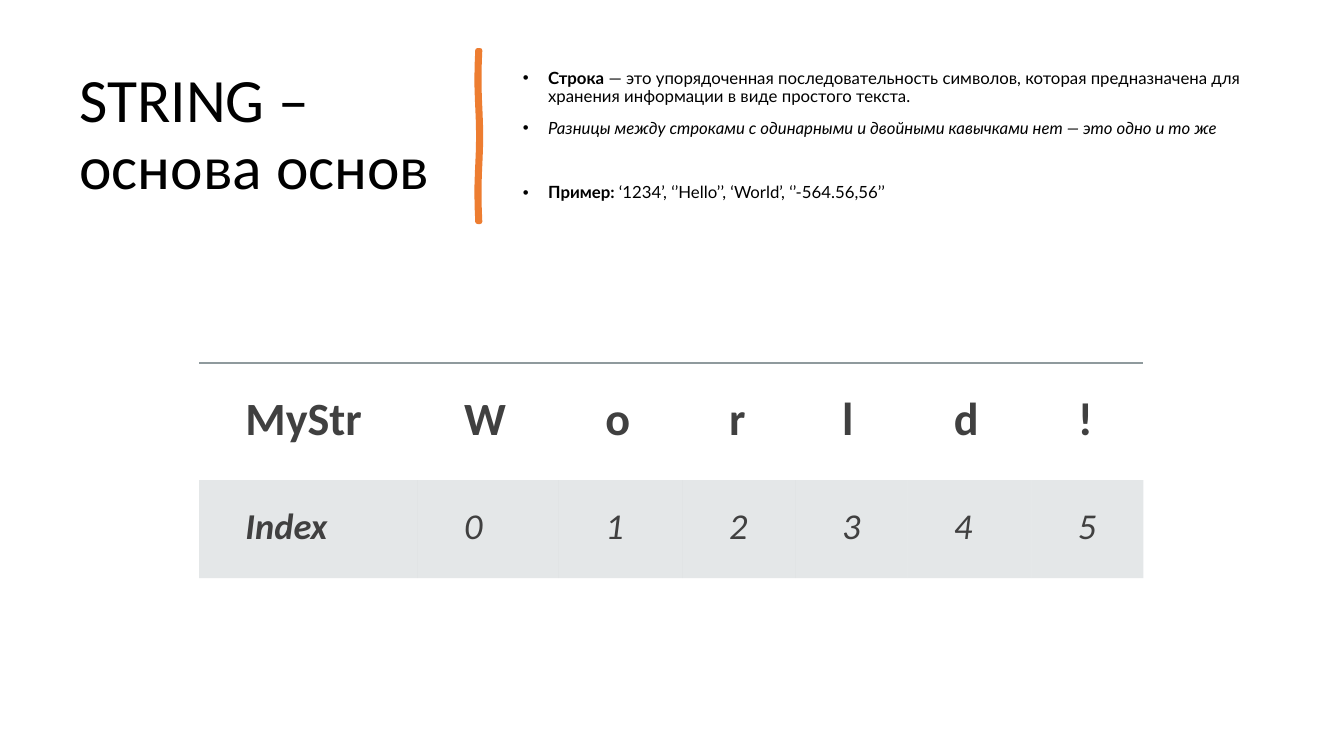
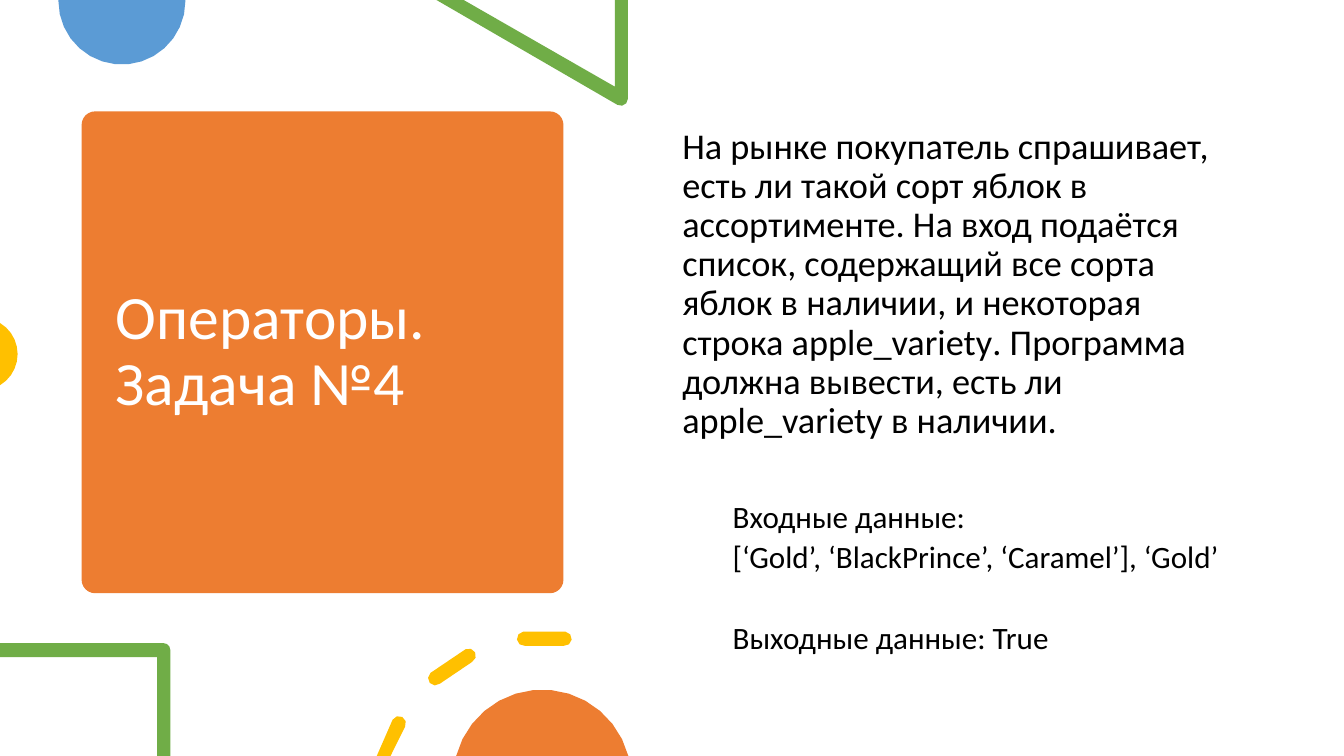
import math

from lxml import etree
from pptx import Presentation
from pptx import util as u
from pptx.dml.color import RGBColor
from pptx.enum import lang, shapes, text
from pptx.oxml import ns

COLS, ROWS = 160, 90
CELL = u.Inches(1) // 12

WHITE = RGBColor(0xFF, 0xFF, 0xFF)
BLACK = RGBColor(0, 0, 0)
ORANGE = RGBColor(0xED, 0x7D, 0x31)
BLUE = RGBColor(0x5B, 0x9B, 0xD5)
GREEN = RGBColor(0x70, 0xAD, 0x47)
YELLOW = RGBColor(0xFF, 0xC0, 0x00)
DARK_GREY = RGBColor(0x40, 0x40, 0x40)
RULE_GREY = RGBColor(0x8F, 0x9A, 0x9D)
BAND_GREY = RGBColor(0xB4, 0xBC, 0xBE)

RUSSIAN = lang.MSO_LANGUAGE_ID.RUSSIAN
ENGLISH = lang.MSO_LANGUAGE_ID.ENGLISH_US


def grid(n):
    return u.Emu(round(n * CELL))


def sub(parent, tag, **attrs):
    return etree.SubElement(parent, ns.qn(tag), attrs)


def on_circle(cx, cy, r, degrees):
    """Point on a circle; degrees run clockwise from the right."""
    a = math.radians(degrees)
    return cx + r * math.cos(a), cy + r * math.sin(a)


def arc(cx, cy, r, start, end, step=12):
    """Points along a circular arc, about one for each step of degrees."""
    n = max(1, round(abs(end - start) / step))
    return [on_circle(cx, cy, r, start + (end - start) * i / n) for i in range(n + 1)]


def round_dash(cx, cy, r, start, end, width):
    """Outline of a curved dash with round ends, cut at the slide's bottom."""
    half = width / 2
    tail, head = on_circle(cx, cy, r, start), on_circle(cx, cy, r, end)
    points = (arc(*head, half, end, end + 180, 45)
              + arc(*tail, half, start + 180, start + 360, 45))
    return [(x, min(y, ROWS)) for x, y in points]


class Deck:
    """The shared style and the slide being filled."""

    FONT = "Calibri"
    TITLE_SIZE = 44
    LINE_SPACING = 0.9

    def __init__(self):
        self.prs = Presentation()
        self.prs.slide_width, self.prs.slide_height = grid(COLS), grid(ROWS)
        self.s = None

    def new_slide(self):
        self.s = self.prs.slides.add_slide(self.prs.slide_layouts[6])

    def style(self, r, size, color=BLACK, font=FONT, bold=False, italic=False,
              language=RUSSIAN):
        r.font.name, r.font.size = font, u.Pt(size)
        r.font.bold, r.font.italic = bold, italic
        r.font.color.rgb = color
        r.font.language_id = language

    def paint(self, sp, fill):
        sp.shadow.inherit = False
        sp.fill.solid()
        sp.fill.fore_color.rgb = fill
        sp.line.fill.background()

    def text_frame(self, box, anchor):
        tf = self.s.shapes.add_textbox(*map(grid, box)).text_frame
        tf.word_wrap = True
        tf.vertical_anchor = anchor
        return tf

    def title(self, words, box, color=BLACK):
        p = self.text_frame(box, text.MSO_ANCHOR.MIDDLE).paragraphs[0]
        p.text = words
        p.line_spacing = self.LINE_SPACING
        self.style(p.runs[0], self.TITLE_SIZE, color)

    def body(self, box, items, anchor=text.MSO_ANCHOR.TOP, font=FONT, bullet=False):
        """Items are (space before, left indent, size, [(words, run style)])."""
        tf = self.text_frame(box, anchor)
        for i, (before, indent, size, runs) in enumerate(items):
            p = tf.add_paragraph() if i else tf.paragraphs[0]
            p.line_spacing = self.LINE_SPACING
            p.space_before = u.Pt(before)
            pPr = p._p.get_or_add_pPr()
            pPr.set("marL", str(grid(indent)))
            if bullet:
                pPr.set("indent", str(-grid(indent)))
                sub(pPr, "a:buFont", typeface="Arial")
                sub(pPr, "a:buChar", char="•")
            for words, look in runs:
                r = p.add_run()
                r.text = words
                self.style(r, size, font=font, **look)

    def outline(self, fill, *contours, line_width=0):
        """One filled shape made of one or more closed contours."""
        contours = [[(grid(x), grid(y)) for x, y in points] for points in contours]
        builder = self.s.shapes.build_freeform(*contours[0][0])
        for i, points in enumerate(contours):
            if i:
                builder.move_to(*points[0])
            builder.add_line_segments(points[1:], close=True)
        sp = builder.convert_to_shape()
        self.paint(sp, fill)
        if line_width:
            sp.line.color.rgb = fill
            sp.line.width = u.Pt(line_width)
            sub(sp.line._get_or_add_ln(), "a:round")

    def card(self, box, fill, radius):
        sp = self.s.shapes.add_shape(shapes.MSO_SHAPE.ROUNDED_RECTANGLE, *map(grid, box))
        sp.adjustments[0] = radius
        self.paint(sp, fill)

    def borders(self, cell, top):
        tcPr = cell._tc.get_or_add_tcPr()
        for side in "LRTB":
            if side == "T" and top:
                ln = sub(tcPr, "a:lnT", w=str(u.Pt(1.5)))
                clr = sub(sub(ln, "a:solidFill"), "a:srgbClr", val=str(RULE_GREY))
                sub(clr, "a:alpha", val="60000")
            else:
                sub(sub(tcPr, "a:ln" + side, w="0"), "a:noFill")

    def index_table(self, left, top, widths, heights, rows):
        """A heading row under a rule, then a tinted row in italics."""
        frame = self.s.shapes.add_table(len(rows), len(widths), grid(left), grid(top),
                                        grid(sum(widths)), grid(sum(heights)))
        table = frame.table
        table.first_row = table.horz_banding = False
        for column, width in zip(table.columns, widths):
            column.width = grid(width)
        for i, (height, words) in enumerate(zip(heights, rows)):
            table.rows[i].height = grid(height)
            heading = i == 0
            pad = grid(3.36 if heading else 2.88)
            for j, word in enumerate(words):
                cell = table.cell(i, j)
                cell.margin_left = grid(5.52)
                cell.margin_right = cell.margin_top = cell.margin_bottom = pad
                self.borders(cell, heading)
                if heading:
                    cell.fill.background()
                else:
                    cell.fill.solid()
                    cell.fill.fore_color.rgb = BAND_GREY
                    clr = cell._tc.tcPr.find(ns.qn("a:solidFill") + "/" + ns.qn("a:srgbClr"))
                    sub(clr, "a:alpha", val="35000")
                cell.text = word
                self.style(cell.text_frame.paragraphs[0].runs[0], 33 if heading else 26,
                           DARK_GREY, bold=heading or j == 0, italic=not heading,
                           language=ENGLISH)


def string_slide(deck):
    deck.new_slide()
    deck.title("STRING – основа основ", (8.28, 6.6, 44.88, 19.2))

    top, bottom, steps = 6, 26.4, 14
    wave = [(57 - 0.1 * math.sin(3 * math.pi * i / steps), top + (bottom - top) * i / steps)
            for i in range(steps + 1)]
    deck.outline(ORANGE, [(x + 0.15, y) for x, y in wave]
                 + [(x - 0.15, y) for x, y in reversed(wave)], line_width=3.25)

    bold, italic = {"bold": True}, {"italic": True}
    deck.body((61.08, 6.6, 90.48, 19.2), [
        (0, 3, 12, [("Строка", bold),
                    (" — это упорядоченная последовательность символов, которая "
                     "предназначена для хранения информации в виде простого текста.", {})]),
        (10, 3, 12, [("Разницы между строками с одинарными и двойными кавычками нет — "
                      "это одно и то же", italic)]),
        (33, 3, 12, [("Пример: ", bold),
                     ("‘1234’, ‘’Hello’’, ‘World’, ‘’-564.56,56’’", {})]),
    ], text.MSO_ANCHOR.MIDDLE, "Lato", bullet=True)

    letters = "World!"
    deck.index_table(23.7, 43.2, (26.04, 16.8, 14.76, 13.44, 13.32, 14.76, 13.32),
                     (13.96, 11.66),
                     (["MyStr", *letters], ["Index", *map(str, range(len(letters)))]))


def task_slide(deck):
    deck.new_slide()
    deck.card((9.72, 13.26, 57.36, 57.36), ORANGE, 0.028)
    deck.title("Операторы. Задача №4", (12.6, 14.64, 51.72, 54.72), WHITE)

    deck.outline(BLUE, [(6.96, 0), (22.08, 0)] + arc(14.52, 0.12, 7.56, 0, 180))
    deck.outline(GREEN, [(74.76, 0), (73.2, 0), (73.2, 10.32), (55.2, 0), (51.96, 0)]
                 + arc(73.92, 11.76, 0.84, 120, 0, 40))
    deck.outline(YELLOW, arc(-2.22, 42.16, 4.32, -59, 59))

    variety = ("apple_variety", {"language": ENGLISH})
    deck.body((80.04, 14.64, 69, 64.2), [
        (0, 0, 25.9, [("На рынке покупатель спрашивает, есть ли такой сорт яблок в "
                       "ассортименте. На вход подаётся список, содержащий все сорта яблок "
                       "в наличии, и некоторая строка ", {}),
                      variety, (". Программа должна вывести, есть ли ", {}),
                      variety, (" в наличии.", {})]),
        (43, 6, 22.2, [("Входные данные:", {})]),
        (5, 6, 22.2, [("[‘Gold’, ‘BlackPrince’, ‘Caramel’], ‘Gold’", {})]),
        (33.5, 6, 22.2, [("Выходные данные: True", {})]),
    ])

    deck.outline(GREEN, [(0, 76.56), (0, 78.24), (18.72, 78.24), (18.72, ROWS), (20.28, ROWS)]
                 + arc(19.44, 77.4, 0.84, 0, -90, 30))
    deck.outline(YELLOW, *(round_dash(64.8, 95.7, 19.8, start, start + 14, 1.7)
                           for start in range(195, 264, 34)))
    deck.outline(ORANGE, arc(64.56, 92.7, 10.6, 194.8, 345.2))


def main():
    deck = Deck()
    string_slide(deck)
    task_slide(deck)
    deck.prs.save("out.pptx")


if __name__ == "__main__":
    main()
